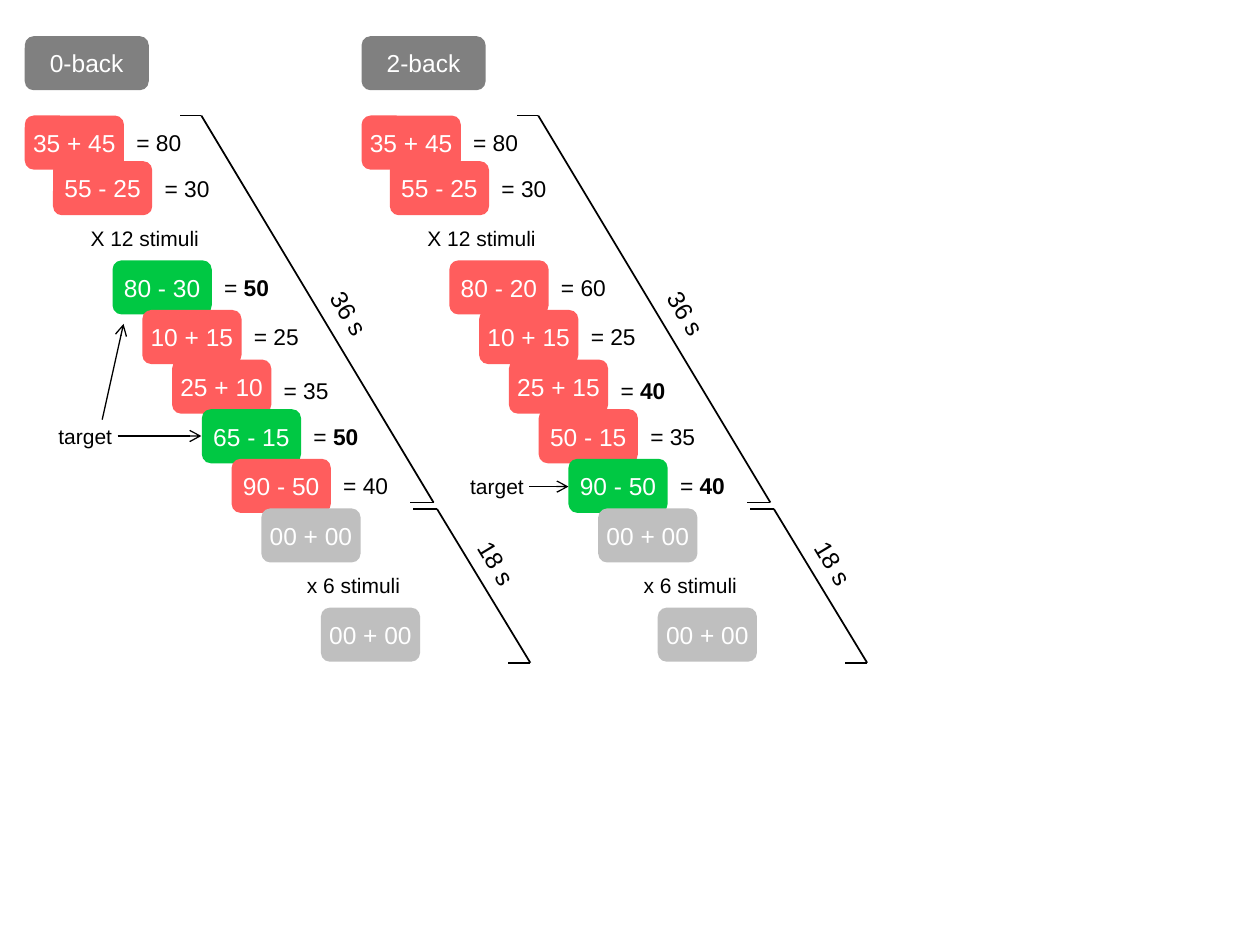
from lxml.etree import SubElement
from pptx import Presentation
from pptx.dml.color import RGBColor
from pptx.enum.shapes import MSO_CONNECTOR as Link, MSO_SHAPE as Shape
from pptx.enum.text import MSO_ANCHOR as Anchor, MSO_AUTO_SIZE as Fit, PP_ALIGN as Align
from pptx.oxml.ns import qn
from pptx.util import Cm, Pt

RED = RGBColor(0xFF, 0x5D, 0x5D)
GREEN = RGBColor(0x00, 0xC8, 0x43)
GREY = RGBColor(0x80, 0x80, 0x80)
PALE = RGBColor(0xBF, 0xBF, 0xBF)
BLACK = RGBColor(0x00, 0x00, 0x00)
WHITE = RGBColor(0xFF, 0xFF, 0xFF)

LEFT = 0.5
SHIFT = 6.79
HIGH = 1.09
REST = [
    ("00 + 00", "", PALE),
    (" x 6 stimuli", "", None),
    ("00 + 00", "", PALE),
]
START = [
    ("35 + 45", "= 80", RED),
    ("55 - 25", "= 30", RED),
    ("X 12 stimuli", "", None),
]
TASKS = {
    "0-back": [
        ("80 - 30", "= *50", GREEN),
        ("10 + 15", "= 25", RED),
        ("25 + 10", "= 35", RED),
        ("65 - 15", "= *50", GREEN),
        ("90 - 50", "= 40", RED),
    ],
    "2-back": [
        ("80 - 20", "= 60", RED),
        ("10 + 15", "= 25", RED),
        ("25 + 15", "= *40", RED),
        ("50 - 15", "= 35", RED),
        ("90 - 50", "=* 40", GREEN),
    ],
}
SPANS = [
    [(3.63, 2.33), (4.06, 2.33), (8.74, 10.13), (8.26, 10.13)],
    [(8.33, 10.26), (8.81, 10.26), (10.69, 13.36), (10.24, 13.36)],
]
TIMES = [("36 s", 6.3, 5.92), ("18 s", 9.27, 10.95)]


def write(frame, text, size=14, color=BLACK, align=Align.LEFT, anchor=Anchor.TOP, inset=None, wrap=True):
    frame.word_wrap = wrap
    frame.vertical_anchor = anchor
    if inset is not None:
        frame.margin_left = frame.margin_right = Cm(inset)
        frame.margin_top = frame.margin_bottom = Cm(inset)
    para = frame.paragraphs[0]
    para.alignment = align
    plain, _, strong = text.partition("*")
    for part, bold in ((plain, False), (strong, True)):
        if part:
            run = para.add_run()
            run.text = part
            run.font.name = "Arial"
            run.font.size = Pt(size)
            run.font.bold = bold
            run.font.color.rgb = color


class Board:
    def __init__(self, slide):
        self.shapes = slide.shapes
        self.mid = {"align": Align.CENTER, "anchor": Anchor.MIDDLE, "inset": 0.1}

    def box(self, text, x, y, wide, fill=None):
        card = self.shapes.add_shape(Shape.ROUNDED_RECTANGLE, Cm(x), Cm(y), Cm(wide), Cm(HIGH))
        card.shadow.inherit = False
        card.line.fill.background()
        if fill is None:
            card.fill.background()
            write(card.text_frame, text, size=12, **self.mid)
        else:
            card.fill.solid()
            card.fill.fore_color.rgb = fill
            write(card.text_frame, text, color=WHITE, **self.mid)

    def label(self, text, x, y, wide=1.5, high=0.8, turn=0, **style):
        note = self.shapes.add_textbox(Cm(x), Cm(y), Cm(wide), Cm(high))
        note.rotation = turn
        write(note.text_frame, text, **style)
        note.text_frame.auto_size = Fit.SHAPE_TO_FIT_TEXT

    def line(self, start, end, width=1, arrow=False):
        (ax, ay), (bx, by) = start, end
        link = self.shapes.add_connector(Link.STRAIGHT, Cm(ax), Cm(ay), Cm(bx), Cm(by))
        link.line.color.rgb = BLACK
        link.line.width = Pt(width)
        if arrow:
            SubElement(link.line._get_or_add_ln(), qn("a:tailEnd"), type="arrow")
        SubElement(link._element.spPr, qn("a:effectLst"))

    def target(self, x, y, end):
        self.label("target", x, y, 1.3, 0.71, size=12, wrap=False, **self.mid)
        mid = y + 0.36
        self.line((x + 1.3, mid), (end, mid), 0.75, True)

    def task(self, name, rows, dx):
        self.box(name, LEFT + dx, 0.73, 2.5, GREY)
        for i, (sum_, answer, fill) in enumerate(rows):
            x = max(LEFT, 0.47 + 0.6 * i) + dx
            y = max(2.33, 2.25 + i)
            if answer:
                drop = 0.22 if i == 5 else 0.14
                self.label(answer, x + 2, y + drop, size=13)
            wide = 2 if fill else 2.4 if "6" in sum_ else 2.5
            self.box(sum_, x, y, wide, fill)
        for span in SPANS:
            ends = [(x + dx, y) for x, y in span]
            for start, end in zip(ends, ends[1:]):
                self.line(start, end)
        for text, x, y in TIMES:
            self.label(text, x + dx, y, high=0.86, turn=59)


def main():
    deck = Presentation()
    deck.slide_width, deck.slide_height = Cm(25.4), Cm(19.05)
    board = Board(deck.slides.add_slide(deck.slide_layouts[6]))
    for i, (name, rows) in enumerate(TASKS.items()):
        board.task(name, START + rows + REST, i * SHIFT)
    board.target(1.07, 8.43, 4.06)
    board.target(9.37, 9.45, 11.46)
    board.line((2.06, 8.46), (2.49, 6.53), 0.75, True)
    deck.save("out.pptx")


if __name__ == "__main__":
    main()
